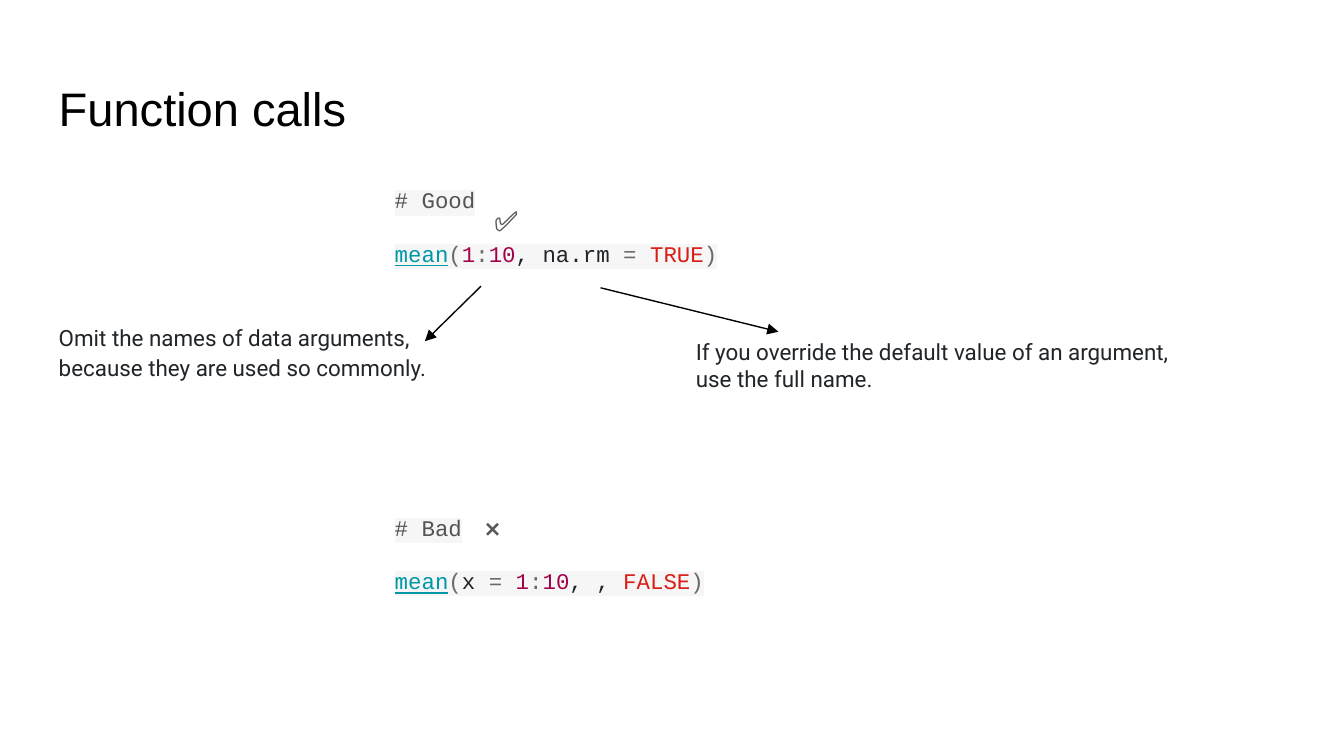
from lxml.etree import SubElement
from pptx import Presentation
from pptx.dml.color import RGBColor
from pptx.enum.shapes import MSO_CONNECTOR as Connector
from pptx.enum.text import MSO_ANCHOR as Anchor, MSO_AUTO_SIZE as AutoSize, PP_ALIGN as Align
from pptx.oxml import parse_xml
from pptx.oxml.ns import nsdecls, qn
from pptx.util import Cm, Pt


class Theme:
    title_size, code_size, check_size = 25.2, 12, 15
    title_font, code_font, note_font = "Arial", "Courier New", "Roboto"
    line_spacing, gap, row_pitch = 1.15, 12, 28.4
    black, mark, code_back = "000000", "595959", "F6F6F6"
    comment, call, sign = "545454", "0097A7", "696969"
    number, plain, constant = "A1024A", "212529", "D91E18"


# Content: code lines are lists of (text, colour)
TITLE = "Function calls"
GOOD = [
    [("# Good", Theme.comment)],
    [("mean", Theme.call), ("(", Theme.sign), ("1", Theme.number), (":", Theme.sign),
     ("10", Theme.number), (", na.rm ", Theme.plain), ("=", Theme.sign),
     (" ", Theme.plain), ("TRUE", Theme.constant), (")", Theme.sign)],
]
BAD = [
    [("# Bad", Theme.comment)],
    [("mean", Theme.call), ("(", Theme.sign), ("x ", Theme.plain), ("=", Theme.sign),
     (" ", Theme.plain), ("1", Theme.number), (":", Theme.sign), ("10", Theme.number),
     (", , ", Theme.plain), ("FALSE", Theme.constant), (")", Theme.sign)],
]
DATA_NOTE = ["Omit the names of data arguments,", "because they are used so commonly."]
NAME_NOTE = "If you override the default value of an argument, use the full name."

# Places in cm: left, top, width, height
TITLE_AT = (0.86, 1.24, 23.67, 1.6)
BODY_AT = (0.86, 3.2, 23.67, 9.5)
NAME_NOTE_AT = (12.9, 6.27, 10.21, 1.88)
MARKS = [  # sign, size, space before, place
    ("✅", Theme.check_size, 0, (9.09, 3.51, 1.07, 1.14)),
    ("❌", Theme.code_size, Theme.gap, (8.92, 9.42, 1.4, 1.02)),
]
ARROWS = [(9.09, 5.41, 8.03, 6.45), (11.35, 5.44, 14.71, 6.27)]
CODE_INDENT = Cm(6.35)
INSET = Cm(0.25)


def place(box, at, inset=True):
    box.left, box.top, box.width, box.height = map(Cm, at)
    frame = box.text_frame
    frame.word_wrap = True
    frame.auto_size = AutoSize.NONE
    if inset:
        frame.margin_left = frame.margin_right = INSET
        frame.margin_top = frame.margin_bottom = INSET
    return frame


def style(span, font, size, colour, back=None):
    span.font.name, span.font.size = font, Pt(size)
    span.font.color.rgb = RGBColor.from_string(colour)
    if back:
        fill = span.font._element.find(qn("a:solidFill"))
        fill.addnext(parse_xml(f'<a:highlight {nsdecls("a")}><a:srgbClr val="{back}"/></a:highlight>'))


def write_line(para, spans, font, before, indent=0, back=None):
    para.line_spacing, para.space_before = Theme.line_spacing, Pt(before)
    para.alignment = Align.LEFT
    props = para._p.get_or_add_pPr()
    props.set("marL", str(indent))
    props.set("indent", "0")
    SubElement(props, qn("a:buNone"))
    for text, colour in spans:
        span = para.add_run()
        span.text = text
        style(span, font, Theme.code_size, colour, back)
        if colour == Theme.call:
            span.font.underline = True


def add_text(page, text, at, font, size, colour, inset=True):
    frame = place(page.shapes.add_textbox(0, 0, 0, 0), at, inset)
    frame.text = text
    style(frame.paragraphs[0].runs[0], font, size, colour)
    return frame.paragraphs[0]


def add_arrow(page, ends):
    arrow = page.shapes.add_connector(Connector.STRAIGHT, *map(Cm, ends))
    arrow.line.width = Pt(0.75)
    arrow.line.color.rgb = RGBColor.from_string(Theme.black)
    SubElement(arrow.line._get_or_add_ln(), qn("a:tailEnd"), type="triangle")
    SubElement(arrow._element.spPr, qn("a:effectLst"))


def main():
    deck = Presentation()
    deck.slide_width, deck.slide_height = Cm(25.4), Cm(14.29)
    page = deck.slides.add_slide(deck.slide_layouts[1])

    # Title
    frame = place(page.shapes.title, TITLE_AT)
    frame.text = TITLE
    frame.vertical_anchor = Anchor.MIDDLE
    frame.paragraphs[0].alignment = Align.LEFT
    style(frame.paragraphs[0].runs[0], Theme.title_font, Theme.title_size, Theme.black)

    # Body: good code, note on data arguments, bad code
    code = (Theme.code_font, CODE_INDENT, Theme.code_back)
    note = (Theme.note_font, 0, None)
    note_lines = [[(text, Theme.plain)] for text in DATA_NOTE]
    blocks = [  # lines, look, space before the block, space between its lines
        (GOOD, code, Theme.gap, Theme.gap),
        (note_lines, note, Theme.row_pitch, 0),
        (BAD, code, Theme.gap + 2 * Theme.row_pitch, Theme.gap),
    ]
    frame = place(page.placeholders[1], BODY_AT)
    para = frame.paragraphs[0]
    for lines, (font, indent, back), first_gap, inner_gap in blocks:
        for row, spans in enumerate(lines):
            if para.runs:
                para = frame.add_paragraph()
            write_line(para, spans, font, inner_gap if row else first_gap, indent, back)

    # Verdict marks
    for sign, size, before, at in MARKS:
        para = add_text(page, sign, at, Theme.title_font, size, Theme.mark)
        para.line_spacing, para.space_before = Theme.line_spacing, Pt(before)

    # Note on named arguments, and arrows to both notes
    add_text(page, NAME_NOTE, NAME_NOTE_AT, Theme.note_font, Theme.code_size, Theme.plain, inset=False)
    for ends in ARROWS:
        add_arrow(page, ends)

    deck.save("out.pptx")


if __name__ == "__main__":
    main()
